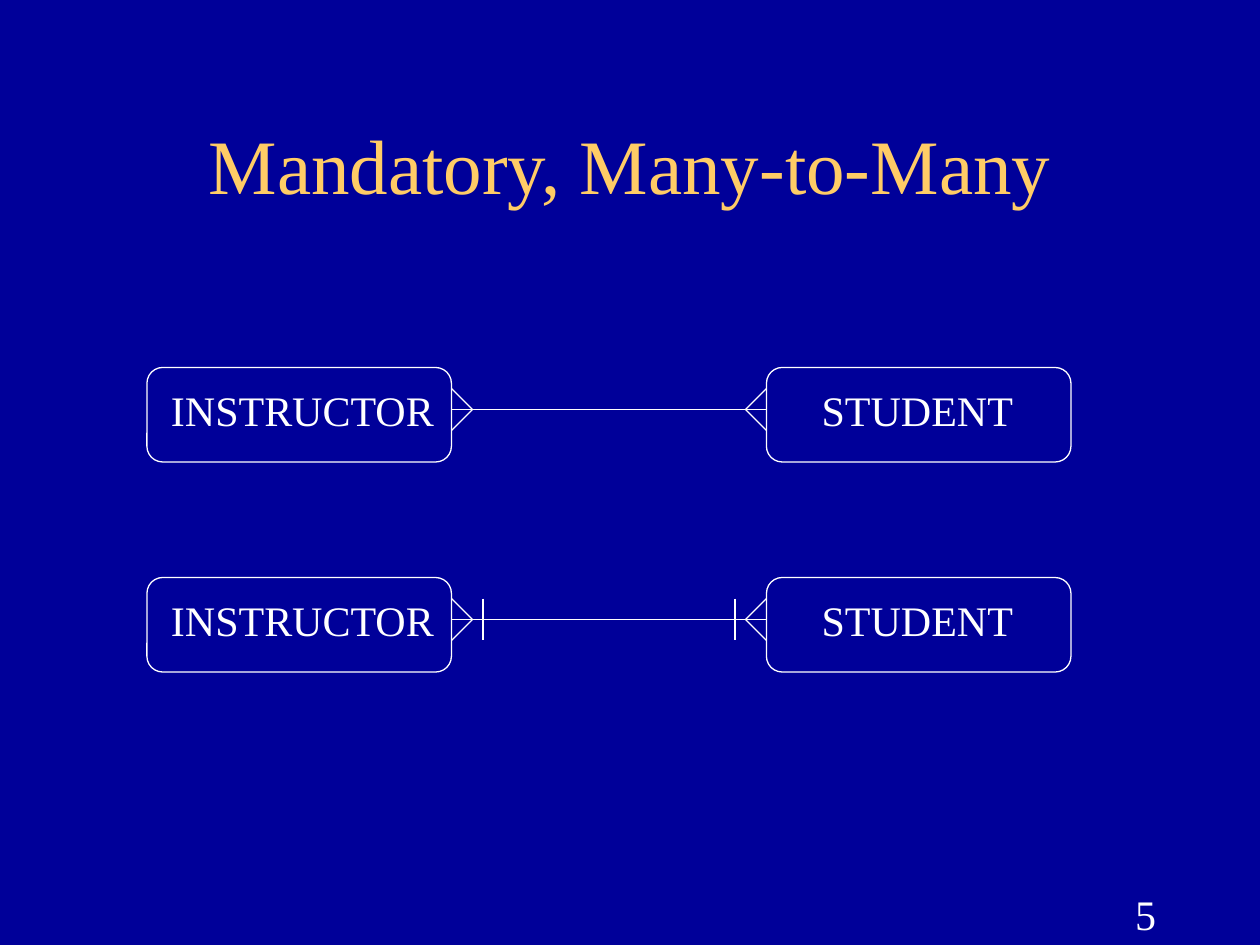
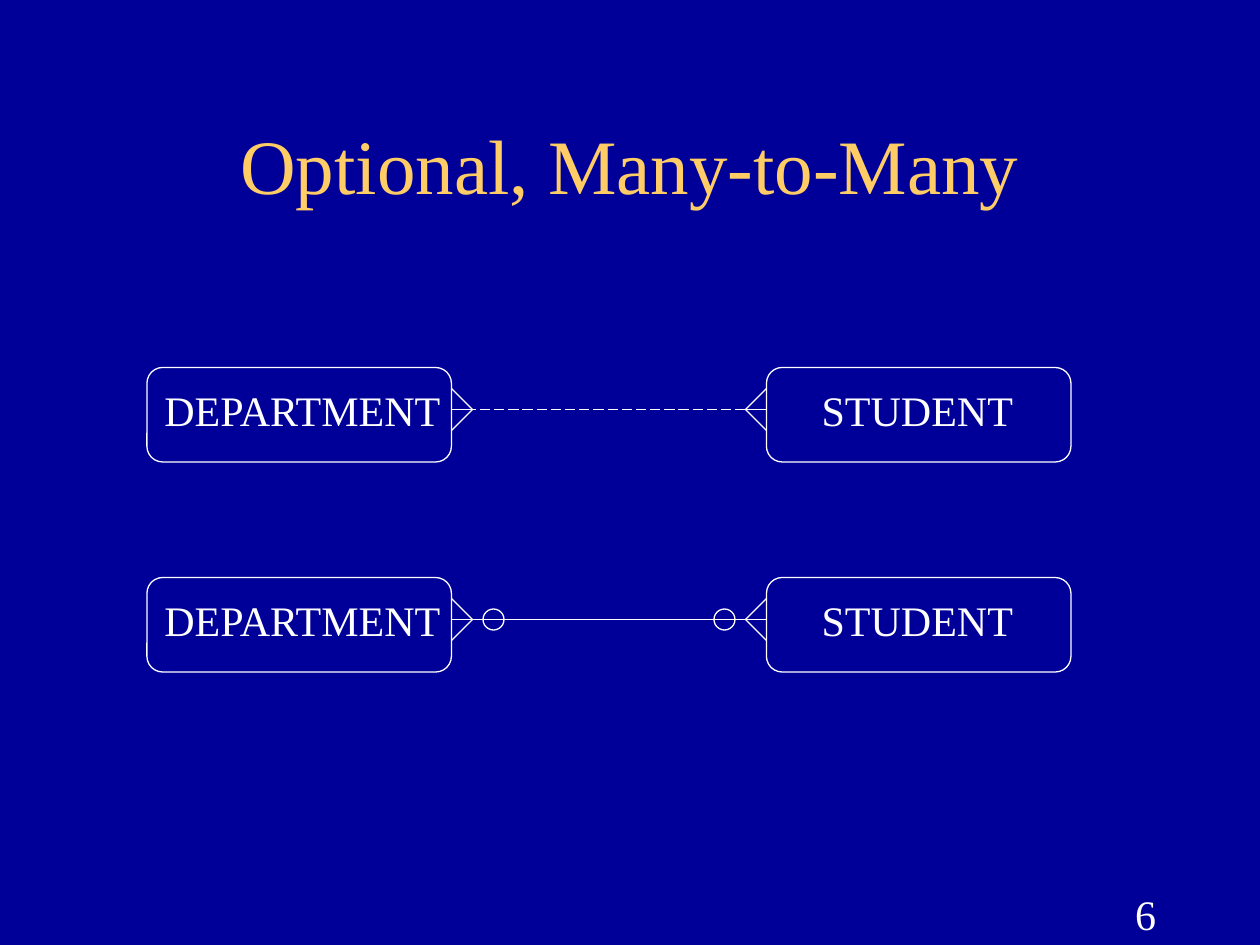
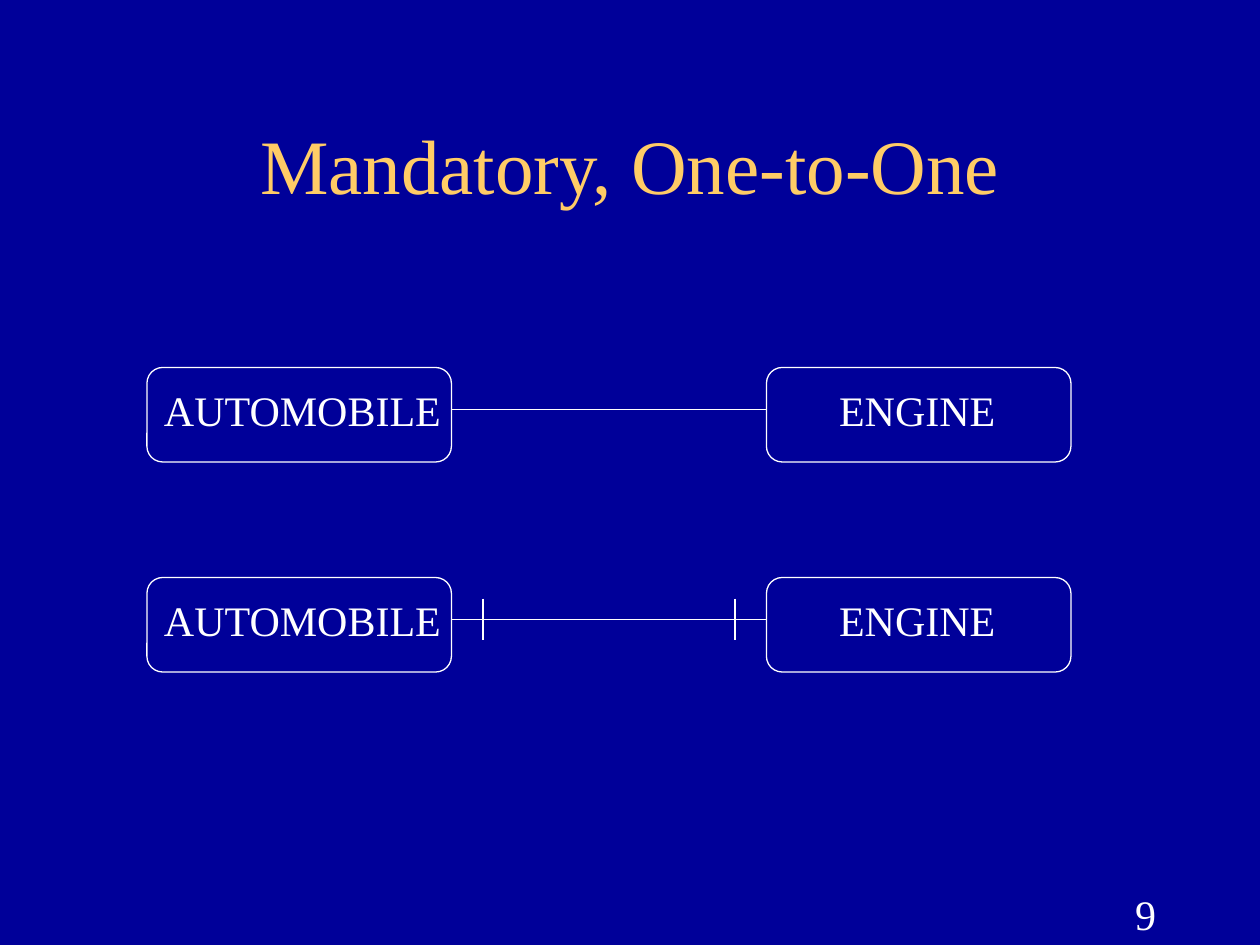
"""Build three slides of entity relationships in two crow's-foot notations."""
from lxml.etree import SubElement
from pptx import Presentation
from pptx.dml.color import RGBColor
from pptx.enum.dml import MSO_LINE
from pptx.enum.shapes import MSO_CONNECTOR, MSO_SHAPE
from pptx.enum.text import MSO_ANCHOR, PP_ALIGN
from pptx.oxml.ns import qn
from pptx.util import Inches, Pt

COLORS = {"background": "000099", "title": "FFCC66", "ink": "FFFFFF"}
FONT = "Times New Roman"
GRID = 1 / 12
LINE_WIDTH = Pt(0.75)
LABEL_WIDTHS = {"INSTRUCTOR": 2.29, "DEPARTMENT": 2.44, "AUTOMOBILE": 2.4, "STUDENT": 1.72, "ENGINE": 1.44}
ENTITY_LEFTS = (14, 73)
LABEL_CENTERS = (2.4, 7.28)
LINK_ENDS = ((43, 1), (73, -1))
ROW_AXES = (39, 59)

SLIDES = [
    {"number": "5", "title": "Mandatory, Many-to-Many", "entities": ("INSTRUCTOR", "STUDENT"),
     "many": True, "optional": False},
    {"number": "6", "title": "Optional, Many-to-Many", "entities": ("DEPARTMENT", "STUDENT"),
     "many": True, "optional": True},
    {"number": "9", "title": "Mandatory, One-to-One", "entities": ("AUTOMOBILE", "ENGINE"),
     "many": False, "optional": False},
]


def add_text(page, text, left, top, width, height, size=24, color="ink", align=PP_ALIGN.CENTER):
    box = page.shapes.add_textbox(Inches(left), Inches(top), Inches(width), Inches(height))
    frame = box.text_frame
    frame.text = text
    frame.word_wrap = False
    paragraph = frame.paragraphs[0]
    paragraph.alignment = align
    font = paragraph.runs[0].font
    font.name = FONT
    font.size = Pt(size)
    font.color.rgb = RGBColor.from_string(COLORS[color])
    return box


def add_line(page, *grid_points):
    line = page.shapes.add_connector(MSO_CONNECTOR.STRAIGHT, *[Inches(point * GRID) for point in grid_points])
    line.line.color.rgb = RGBColor.from_string(COLORS["ink"])
    line.line.width = LINE_WIDTH
    SubElement(line._element.spPr, qn("a:effectLst"))
    return line


deck = Presentation()
deck.slide_width = Inches(10)
deck.slide_height = Inches(7.5)
background = deck.slide_master.background.fill
background.solid()
background.fore_color.rgb = RGBColor.from_string(COLORS["background"])

for content in SLIDES:
    page = deck.slides.add_slide(deck.slide_layouts[6])
    add_text(page, content["number"], 8.91, 7, 1.59, 0.5, align=PP_ALIGN.LEFT)
    title = add_text(page, content["title"], 0.75, 0.67, 8.5, 1.25, size=44, color="title")
    title.text_frame.word_wrap = True
    title.text_frame.vertical_anchor = MSO_ANCHOR.MIDDLE

    for row, axis in enumerate(ROW_AXES):
        symbols_row = row == 1
        outlines = []
        for left, center, name in zip(ENTITY_LEFTS, LABEL_CENTERS, content["entities"]):
            entity = page.shapes.add_shape(
                MSO_SHAPE.ROUNDED_RECTANGLE, Inches(left * GRID), Inches((axis - 4) * GRID),
                Inches(29 * GRID), Inches(9 * GRID))
            outlines.append(entity)
            width = LABEL_WIDTHS[name]
            add_text(page, name, center - width / 2, (axis - 3) * GRID, width, 0.5)

        link = add_line(page, LINK_ENDS[0][0], axis, LINK_ENDS[1][0], axis)
        dashed = content["optional"] and not symbols_row
        if dashed:
            link.line.dash_style = MSO_LINE.LONG_DASH

        for edge, direction in LINK_ENDS:
            tip = edge + 2 * direction
            if content["many"]:
                for offset in (-2, 2):
                    add_line(page, edge, axis + offset, tip, axis)
            if dashed:
                add_line(page, edge, axis, tip, axis)
            if symbols_row and content["optional"]:
                circle = page.shapes.add_shape(
                    MSO_SHAPE.OVAL, Inches((edge + 4 * direction - 1) * GRID), Inches((axis - 1) * GRID),
                    Inches(2 * GRID), Inches(2 * GRID))
                outlines.append(circle)
            elif symbols_row:
                bar = edge + 3 * direction
                add_line(page, bar, axis - 2, bar, axis + 2)

        for shape in outlines:
            shape.shadow.inherit = False
            shape.fill.background()
            shape.line.color.rgb = RGBColor.from_string(COLORS["ink"])
            shape.line.width = LINE_WIDTH

deck.save("out.pptx")
